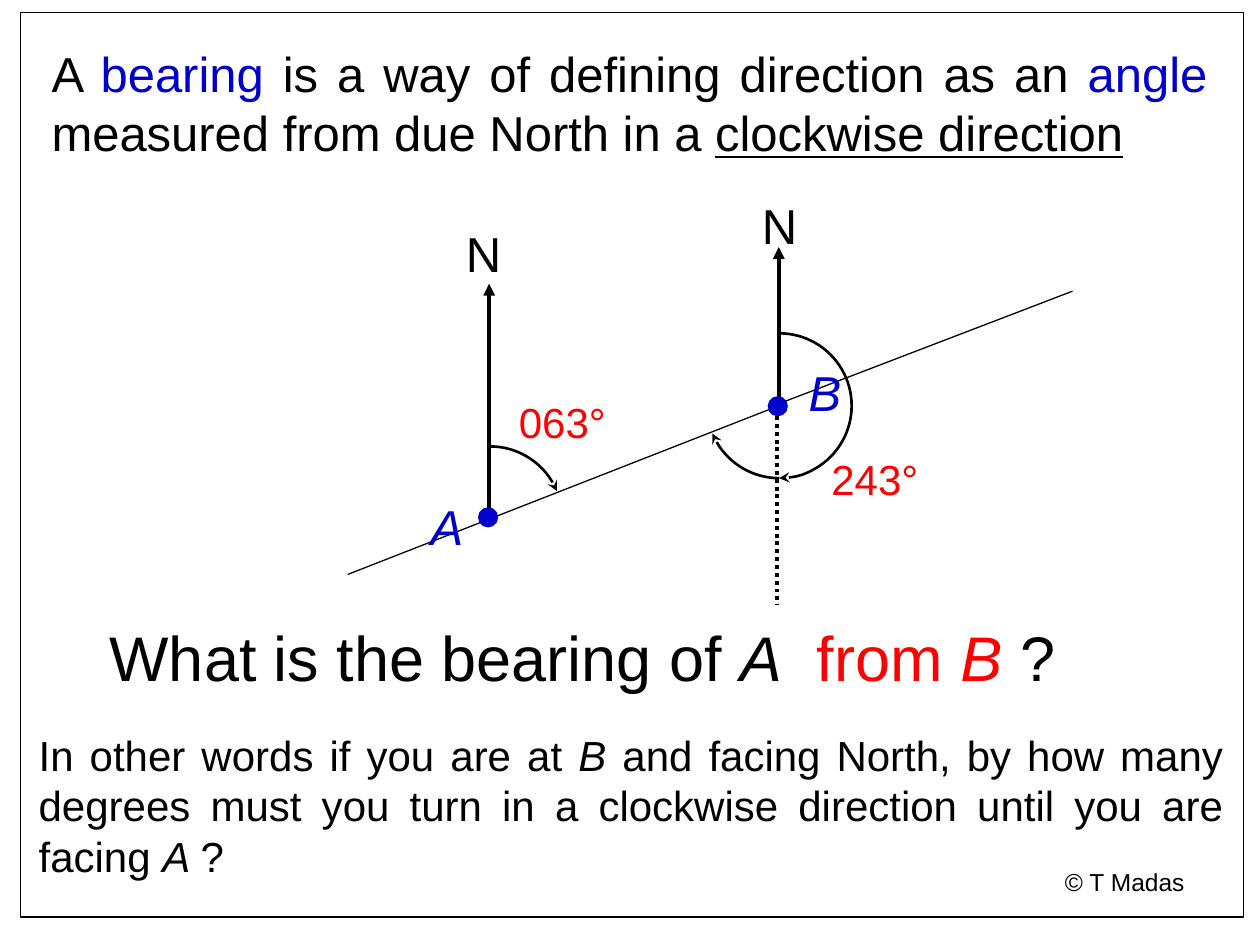
"""Build a slide that explains the bearing of A from B."""
import pptx
import pptx.dml.color
import pptx.enum.dml
import pptx.enum.shapes
import pptx.enum.text
import pptx.oxml
import pptx.oxml.ns
import pptx.util

Cm = pptx.util.Cm
Pt = pptx.util.Pt
Kind = pptx.enum.shapes.MSO_SHAPE
Align = pptx.enum.text.PP_ALIGN
qn = pptx.oxml.ns.qn
BLACK, BLUE, RED = "000000", "0000CC", "FF0000"


def paint(fill, color):
    fill.solid()
    fill.fore_color.rgb = pptx.dml.color.RGBColor.from_string(color)


def write(text, box, size=28, align=Align.LEFT, wrap=True):
    frame = slide.shapes.add_textbox(*map(Cm, box)).text_frame
    frame.word_wrap = wrap
    para = frame.paragraphs[0]
    para.alignment = align
    for words, color, style in text:
        run = para.add_run()
        run.text = words
        run.font.name = "Arial"
        run.font.size = Pt(size)
        run.font.italic = style == "i"
        run.font.underline = style == "u"
        paint(run.font.fill, color)


deck = pptx.Presentation()
deck.slide_width, deck.slide_height = Cm(25.4), Cm(19.05)
slide = deck.slides.add_slide(deck.slide_layouts[6])
shapes = slide.shapes

border = shapes.add_shape(Kind.RECTANGLE, Cm(0.41), Cm(0.25), Cm(24.66), Cm(18.24))
border.shadow.inherit = False
border.fill.background()
paint(border.line.fill, BLACK)
border.line.width = Pt(0.75)

lines = [
    ((15.67, 8.15, 21.62, 5.87), 0.75, False, None),
    ((7.01, 11.58, 15.65, 8.2), 0.75, False, None),
    ((15.67, 8.23, 15.67, 12.19), 2.25, True, None),
    ((15.7, 8.15, 15.7, 4.98), 2.25, False, "triangle"),
    ((9.86, 10.29, 9.86, 5.72), 2.25, False, "triangle"),
]
strokes = []
for ends, width, dotted, head in lines:
    line = shapes.add_connector(pptx.enum.shapes.MSO_CONNECTOR.STRAIGHT, *map(Cm, ends))
    strokes.append((line, width, dotted, head))

arcs = [(9.88, 10.46, 270, 337.5), (15.71, 8.18, 270, 90), (15.71, 8.18, 90, 157.5)]
reach = 1.46
for x, y, start, stop in arcs:
    arc = shapes.add_shape(
        Kind.ARC, Cm(x - reach), Cm(y - reach), Cm(2 * reach), Cm(2 * reach)
    )
    arc.fill.background()
    arc.adjustments[0] = start * 0.6
    arc.adjustments[1] = stop * 0.6
    strokes.append((arc, 1.5, False, "stealth"))

for stroke, width, dotted, head in strokes:
    paint(stroke.line.fill, BLACK)
    stroke.line.width = Pt(width)
    if dotted:
        stroke.line.dash_style = pptx.enum.dml.MSO_LINE.ROUND_DOT
    props = stroke.element.spPr
    if head:
        tail = pptx.oxml.parse_xml(
            '<a:tailEnd xmlns:a="http://schemas.openxmlformats.org/drawingml/2006/main"/>'
        )
        tail.set("type", head)
        props.find(qn("a:ln")).append(tail)
    props.append(props.makeelement(qn("a:effectLst"), {}))

for x, y in [(9.65, 10.24), (15.49, 8)]:
    dot = shapes.add_shape(Kind.OVAL, Cm(x), Cm(y), Cm(0.38), Cm(0.38))
    dot.shadow.inherit = False
    paint(dot.fill, BLUE)
    paint(dot.line.fill, BLUE)
    dot.line.width = Pt(0.75)

labels = [
    ("N", BLACK, "", 15.11, 3.81),
    ("N", BLACK, "", 9.14, 4.39),
    ("B", BLUE, "i", 16.05, 7.19),
    ("A", BLUE, "i", 8.43, 9.88),
]
for word, color, style, x, y in labels:
    write([(word, color, style)], (x, y, 1.55, 1.45))

for angle, x, y in [("063°", 10.21, 7.87), ("243°", 16.51, 9.02)]:
    write([(angle, RED, "")], (x, y, 2.57, 1.27), size=24, wrap=False)

write(
    [
        ("A ", BLACK, ""),
        ("bearing", BLUE, ""),
        (" is a way of defining direction as an ", BLACK, ""),
        ("angle", BLUE, ""),
        (" measured from due North in a ", BLACK, ""),
        ("clockwise direction", BLACK, "u"),
    ],
    (0.79, 0.76, 23.8, 2.62),
    align=Align.JUSTIFY,
)
write(
    [
        ("What is the bearing of ", BLACK, ""),
        ("A", BLACK, "i"),
        ("  from ", RED, ""),
        ("B ", RED, "i"),
        ("?", BLACK, ""),
    ],
    (1.96, 12.34, 21.16, 1.78),
    size=36,
)
write(
    [
        ("In other words if you are at ", BLACK, ""),
        ("B", BLACK, "i"),
        (" and facing North, by how many degrees must you turn "
         "in a clockwise direction until you are facing ", BLACK, ""),
        ("A ", BLACK, "i"),
        ("?", BLACK, ""),
    ],
    (0.53, 14.58, 24.38, 3.3),
    size=24,
    align=Align.JUSTIFY,
)
write([("© T Madas", BLACK, "")], (18.21, 17.35, 5.92, 1.32), size=14, align=Align.RIGHT)

deck.save("out.pptx")
